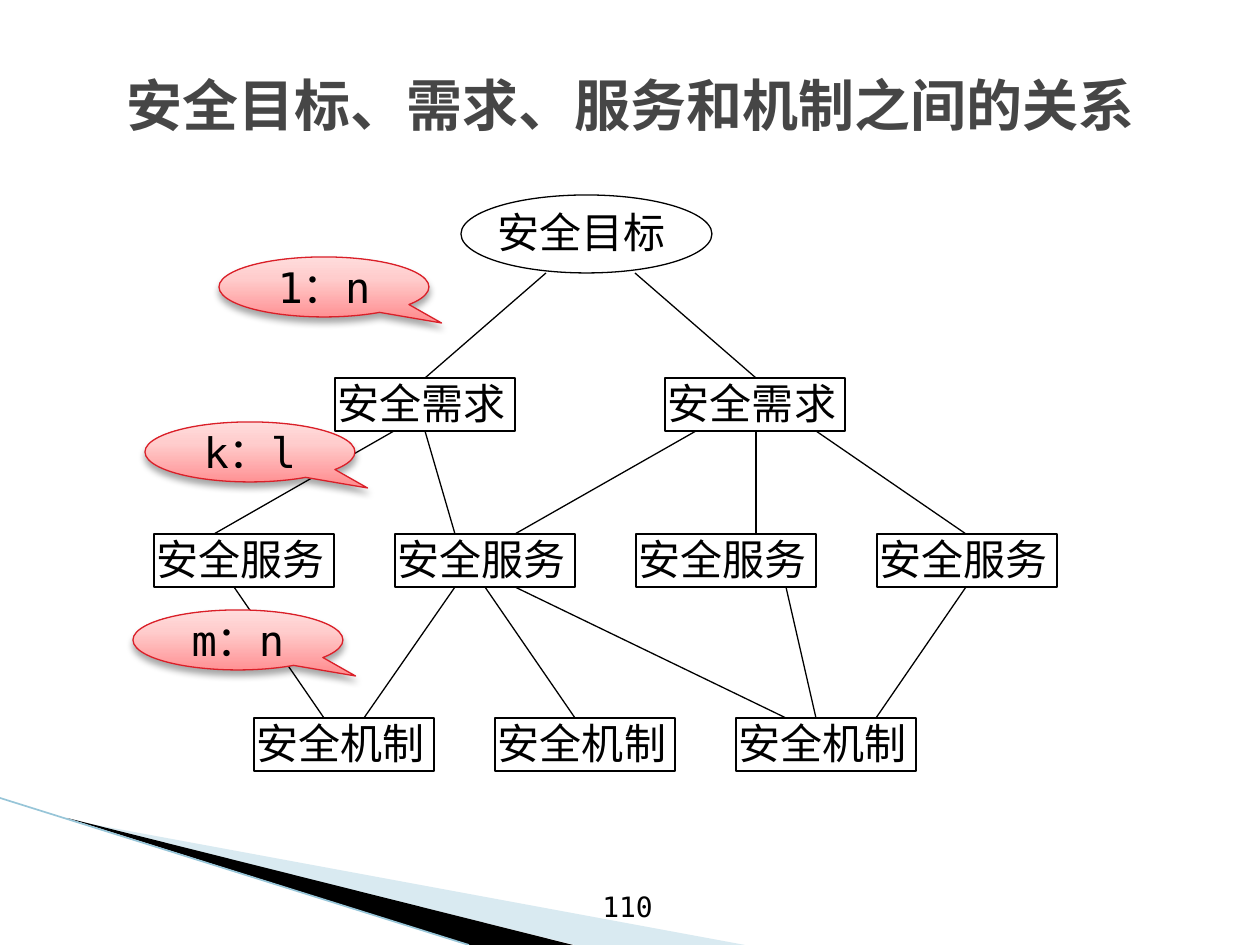
from copy import deepcopy
from lxml.etree import SubElement
from pptx import Presentation
from pptx.dml.color import RGBColor
from pptx.enum.shapes import MSO_CONNECTOR, MSO_SHAPE
from pptx.enum.text import MSO_ANCHOR, PP_ALIGN
from pptx.oxml.ns import qn
from pptx.util import Emu, Pt

SCALE = 914400 / 126
MONO, SERIF = "DejaVu Sans Mono", "Times New Roman"
rgb = RGBColor.from_string


def px(*nums):
    return [Emu(round(n * SCALE)) for n in nums]


def write(shape, text, font, size, align, anchor, color="000000", pad=None):
    frame = shape.text_frame
    frame.text = text
    frame.word_wrap = True
    frame.vertical_anchor = anchor
    if pad is not None:
        frame.margin_left = frame.margin_right = px(pad)[0]
        frame.margin_top = frame.margin_bottom = 0
    par = frame.paragraphs[0]
    par.alignment = align
    par.font.name = font
    par.font.size = Pt(size)
    par.font.color.rgb = rgb(color)
    return par


deck = Presentation()
deck.slide_width, deck.slide_height = px(1260, 945)
slide = deck.slides.add_slide(deck.slide_layouts[5])
shapes = slide.shapes

title = shapes.title
title.left, title.top, title.width, title.height = px(64, 35, 1134, 139)
head = write(title, "安全目标、需求、服务和机制之间的关系", MONO, 32,
             PP_ALIGN.CENTER, MSO_ANCHOR.MIDDLE, "464646")
head.font.bold = True

for color, alpha, points in [
    ("A0CBDC", 40, [(69, 820), (745, 945), (575, 945)]),
    ("000000", 100, [(67, 818), (573, 945), (469, 945)]),
]:
    path = shapes.build_freeform(*points[0], scale=SCALE)
    path.add_line_segments(points[1:])
    wedge = path.convert_to_shape()
    wedge.shadow.inherit = False
    wedge.fill.solid()
    wedge.fill.fore_color.rgb = rgb(color)
    wedge.line.fill.background()
    if alpha < 100:
        tint = wedge._element.spPr.find(qn("a:solidFill"))[0]
        SubElement(tint, qn("a:alpha"), val=str(alpha * 1000))

lines = [(0, 798, 469, 945, "97C5D8", 0.95)]
for top, base, pairs in [
    (273, 378, [(546, 425), (635, 756)]),
    (431, 534, [(394, 214), (425, 455), (696, 515), (756, 756), (816, 966)]),
    (587, 718, [(234, 324), (455, 364), (485, 575), (515, 786),
                (786, 816), (966, 876)]),
]:
    lines += [(a, top, b, base, "000000", 0.75) for a, b in pairs]
for *ends, color, width in lines:
    line = shapes.add_connector(MSO_CONNECTOR.STRAIGHT, *px(*ends))
    line.line.color.rgb = rgb(color)
    line.line.width = Pt(width)
    SubElement(line._element.spPr, qn("a:effectLst"))

nodes = [(MSO_SHAPE.OVAL, "安全目标", 461, 195, 251, 78, 0)]
for text, left, top, step, count in [
    ("安全需求", 335, 378, 330, 2),
    ("安全服务", 154, 534, 241, 4),
    ("安全机制", 254, 718, 241, 3),
]:
    nodes += [(MSO_SHAPE.RECTANGLE, text, left + i * step, top, 180, 53, 3)
              for i in range(count)]
for kind, text, *rect, pad in nodes:
    node = shapes.add_shape(kind, *px(*rect))
    node.shadow.inherit = False
    node.fill.solid()
    node.fill.fore_color.rgb = rgb("FFFFFF")
    node.line.color.rgb = rgb("000000")
    node.line.width = Pt(0.75)
    write(node, text, SERIF, 24, PP_ALIGN.JUSTIFY, MSO_ANCHOR.TOP, pad=pad)

for text, left, top in [("1：n", 219, 257), ("k：l", 145, 422), ("m：n", 133, 610)]:
    note = shapes.add_shape(MSO_SHAPE.OVAL_CALLOUT, *px(left, top, 210, 60))
    note.adjustments[0], note.adjustments[1] = 0.56, 0.6
    note.fill.gradient()
    note.fill.gradient_angle = 90
    stops = note._element.spPr.find(qn("a:gradFill")).find(qn("a:gsLst"))
    stops.append(deepcopy(stops[-1]))
    for stop, place, color in zip(note.fill.gradient_stops, (0, 0.65, 1),
                                  ("FF9294", "FFCDCD", "FFDCDC")):
        stop.position = place
        stop.color.rgb = rgb(color)
    note.line.color.rgb = rgb("DA1F28")
    note.line.width = Pt(0.75)
    note.shadow.inherit = False
    effects = note._element.spPr.find(qn("a:effectLst"))
    shade = SubElement(effects, qn("a:outerShdw"), blurRad=str(Pt(4)),
                       dist=str(Pt(3)), dir="5400000", rotWithShape="0")
    black = SubElement(shade, qn("a:srgbClr"), val="000000")
    SubElement(black, qn("a:alpha"), val="35000")
    write(note, text, MONO, 24, PP_ALIGN.CENTER, MSO_ANCHOR.MIDDLE)

page = shapes.add_textbox(*px(590, 883, 110, 62))
write(page, "110", MONO, 16, PP_ALIGN.LEFT, MSO_ANCHOR.TOP)

deck.save("out.pptx")
